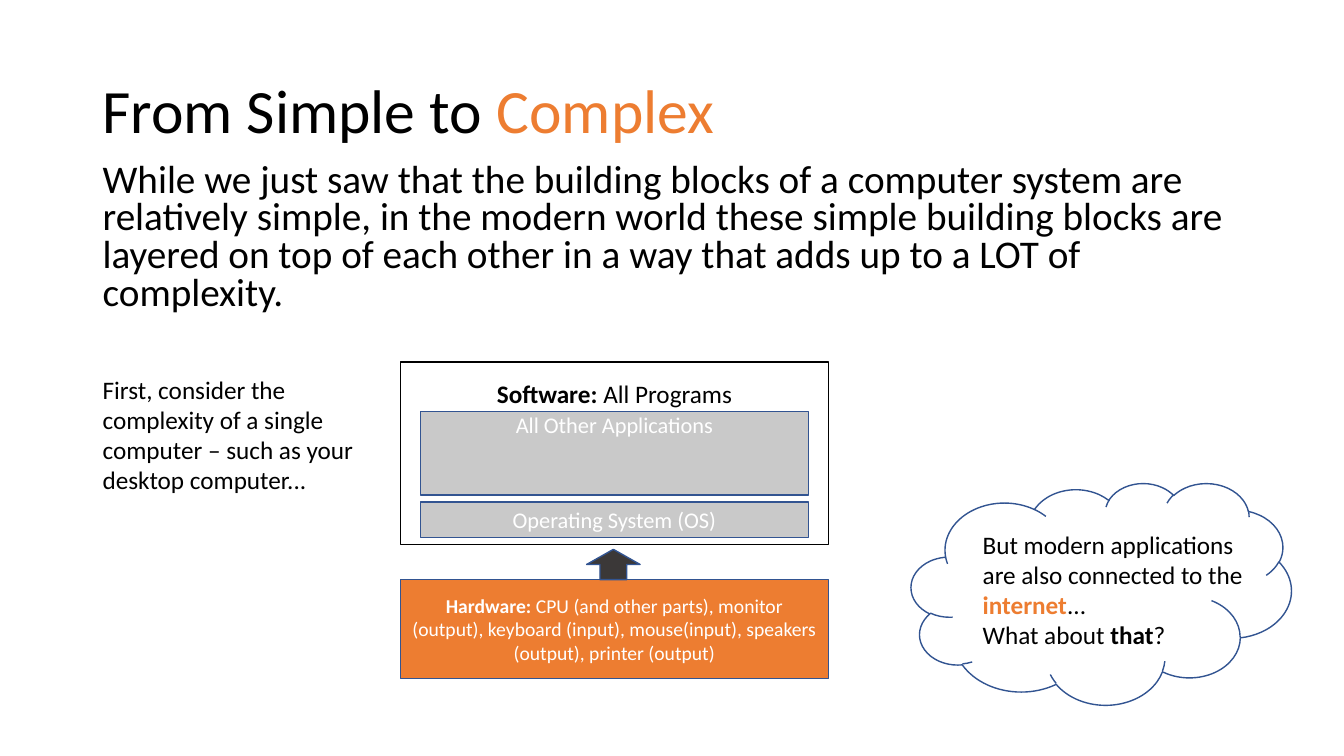
from dataclasses import dataclass

import pptx
import pptx.dml.color
import pptx.enum.shapes
import pptx.enum.text
import pptx.util

SHAPE = pptx.enum.shapes.MSO_SHAPE
ALIGN = pptx.enum.text.PP_ALIGN
ANCHOR = pptx.enum.text.MSO_ANCHOR

WIDTH, HEIGHT = pptx.util.Inches(13.33), pptx.util.Inches(7.5)
BLACK, WHITE, ORANGE = "000000", "FFFFFF", "ED7D31"
GREY, CHARCOAL, NAVY = "C9C9C9", "3B3838", "325491"
MARGIN, FULL, NOTE = 6.9, 86.25, 22.5
STACK, STACK_W = 29.78, 31.88
LAYER, LAYER_W = STACK + 1.5, STACK_W - 3


@dataclass(frozen=True)
class Run:
    text: str
    color: str = BLACK
    bold: bool = False


@dataclass(frozen=True)
class Text:
    paragraphs: tuple[tuple[Run, ...], ...]
    size: int
    anchor: ANCHOR = ANCHOR.MIDDLE
    align: ALIGN = ALIGN.CENTER
    spacing: float = 1.0
    before: int = 0
    inset: float = 0.05


@dataclass(frozen=True)
class Item:
    """Something on the slide, placed in percent of the slide's size."""
    x: float
    y: float
    w: float
    h: float
    text: Text | None = None
    shape: SHAPE | None = None
    fill: str | None = None
    line: str = NAVY


ITEMS = (
    Item(MARGIN, 5.33, FULL, 19.33, Text(
        ((Run("From Simple to "), Run("Complex", ORANGE)),),
        44, align=ALIGN.LEFT, spacing=0.9)),
    Item(MARGIN, 20.93, FULL, 23.33, Text(
        ((Run("While we just saw that the building blocks of a computer system are "
              "relatively simple, in the modern world these simple building blocks are "
              "layered on top of each other in a way that adds up to a LOT of "
              "complexity."),),),
        28, ANCHOR.TOP, ALIGN.LEFT, spacing=0.8, before=10)),
    Item(MARGIN, 48.8, NOTE, 17.47, Text(
        ((Run("First, consider the complexity of a single computer – such as your "
              "desktop computer..."),),),
        18, ANCHOR.TOP, ALIGN.LEFT)),
    Item(STACK, 76.67, STACK_W, 13.07, Text(
        ((Run("Hardware:", WHITE, True),
          Run(" CPU (and other parts), monitor (output), keyboard (input), "
              "mouse(input), speakers (output), printer (output)", WHITE)),),
        14), SHAPE.RECTANGLE, ORANGE),
    Item(STACK, 47.87, STACK_W, 24.13, Text(
        ((Run("Software:", bold=True), Run(" All Programs")),),
        18, ANCHOR.TOP, inset=0.16), SHAPE.RECTANGLE, WHITE, BLACK),
    Item(LAYER, 66.4, LAYER_W, 4.67, Text(
        ((Run("Operating System (OS)", WHITE),),),
        16), SHAPE.RECTANGLE, GREY),
    Item(LAYER, 54.4, LAYER_W, 11.07, Text(
        ((Run("All Other Applications", WHITE),),),
        16, ANCHOR.TOP, inset=0), SHAPE.RECTANGLE, GREY),
    Item(72.38, 69.33, NOTE, 17.47, Text(
        ((Run("But modern applications are also connected to the "),
          Run("internet", ORANGE, True), Run("...")),
         (Run("What about "), Run("that", bold=True), Run("?"))),
        18, ANCHOR.TOP, ALIGN.LEFT)),
    Item(43.65, 72.67, 3.98, 4, shape=SHAPE.UP_ARROW, fill=CHARCOAL),
    Item(67.8, 63.87, 28.28, 29.33, shape=SHAPE.CLOUD),
)


def rgb(color: str) -> pptx.dml.color.RGBColor:
    """Turn a hex string into a colour."""
    return pptx.dml.color.RGBColor.from_string(color)


def write(tf: pptx.text.text.TextFrame, text: Text) -> None:
    """Fill a text frame with formatted paragraphs."""
    tf.word_wrap = True
    tf.vertical_anchor = text.anchor
    tf.margin_top = pptx.util.Inches(text.inset)
    for i, runs in enumerate(text.paragraphs):
        p = tf.add_paragraph() if i else tf.paragraphs[0]
        p.alignment = text.align
        p.line_spacing = text.spacing
        p.space_before = pptx.util.Pt(text.before)
        for run in runs:
            r = p.add_run()
            r.text = run.text
            r.font.name = "Calibri"
            r.font.size = pptx.util.Pt(text.size)
            r.font.bold = run.bold
            r.font.color.rgb = rgb(run.color)


def draw(s: pptx.slide.Slide, item: Item) -> None:
    """Add one text box or preset shape to the slide."""
    box = (round(WIDTH * item.x / 100), round(HEIGHT * item.y / 100),
           round(WIDTH * item.w / 100), round(HEIGHT * item.h / 100))
    if item.shape is None:
        sp = s.shapes.add_textbox(*box)
    else:
        sp = s.shapes.add_shape(item.shape, *box)
        sp.shadow.inherit = False
        sp.line.color.rgb = rgb(item.line)
        sp.line.width = pptx.util.Pt(1)
        if item.fill:
            sp.fill.solid()
            sp.fill.fore_color.rgb = rgb(item.fill)
        else:
            sp.fill.background()
    if item.text:
        write(sp.text_frame, item.text)


def main() -> None:
    """Build and save the slide."""
    prs = pptx.Presentation()
    prs.slide_width, prs.slide_height = WIDTH, HEIGHT
    s = prs.slides.add_slide(prs.slide_layouts[6])
    for item in ITEMS:
        draw(s, item)
    prs.save("out.pptx")


if __name__ == "__main__":
    main()
